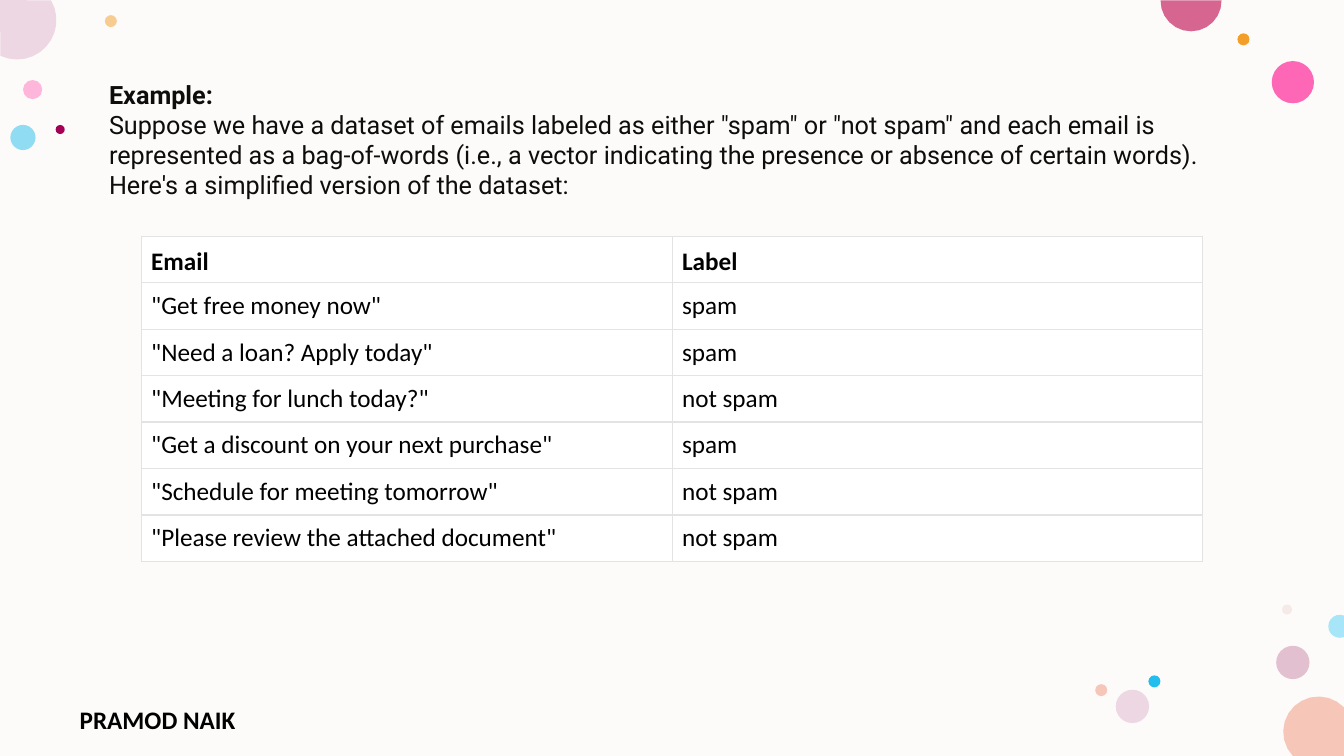
from dataclasses import dataclass
from math import cos, hypot, radians, sin

from lxml.etree import SubElement
from pptx import Presentation
from pptx.dml.color import RGBColor
from pptx.enum.shapes import MSO_SHAPE
from pptx.enum.text import MSO_ANCHOR
from pptx.oxml.ns import qn
from pptx.util import Pt

WIDTH, HEIGHT = 960, 540

HEADING = "Example:"
INTRO = (
    'Suppose we have a dataset of emails labeled as either "spam" or "not spam" '
    "and each email is represented as a bag-of-words (i.e., a vector indicating "
    "the presence or absence of certain words). Here's a simplified version of "
    "the dataset:"
)
AUTHOR = "PRAMOD NAIK"
EMAILS = [
    ("Email", "Label"),
    ('"Get free money now"', "spam"),
    ('"Need a loan? Apply today"', "spam"),
    ('"Meeting for lunch today?"', "not spam"),
    ('"Get a discount on your next purchase"', "spam"),
    ('"Schedule for meeting tomorrow"', "not spam"),
    ('"Please review the attached document"', "not spam"),
]
# centre x, centre y, diameter, colour, opacity in percent
DOTS = [
    (23.3, 64, 13.7, "FF75BD", 50),
    (79.2, 15.1, 8.6, "F39E29", 50),
    (923.5, 473.2, 23.8, "C987A8", 50),
    (16.4, 98.2, 18, "24BEEE", 50),
    (923.5, 58.7, 30.2, "FF2F9C", 72),
    (888.2, 28.1, 8.6, "F39E29", 100),
    (919.4, 435.4, 7.2, "E3BEBE", 28),
    (824.6, 486.7, 8.6, "24BEEE", 100),
    (808.9, 504.6, 23.8, "EDD7E2", 100),
    (786.6, 493, 8.6, "F6C7B9", 100),
    (941.8, 522.7, 50.4, "F6C7B9", 100),
    (12.2, 14.4, 56.2, "EDD7E2", 100),
    (850.8, 0.6, 43.6, "D6658F", 100),
    (43, 92.5, 6.5, "A40056", 100),
    (957, 447.4, 16.4, "A7E5F8", 100),
]


@dataclass(frozen=True)
class Theme:
    background: str = "FDFBF9"
    intro: str = "0D0D0D"
    ink: str = "000000"
    cell: str = "FFFFFF"
    border: str = "E3E3E3"
    intro_font: str = "Roboto"
    table_font: str = "Calibri"
    size: int = 18
    rule: float = 0.6
    heavy_rule: float = 1


THEME = Theme()


def paint(fill, colour):
    fill.solid()
    fill.fore_color.rgb = RGBColor.from_string(colour)


def write(paragraph, text, name, colour, bold=False):
    run = paragraph.add_run()
    run.text = text
    run.font.color.rgb = RGBColor.from_string(colour)
    for key, value in dict(name=name, size=Pt(THEME.size), bold=bold).items():
        setattr(run.font, key, value)


def add_text(slide, left, top, width, height):
    frame = slide.shapes.add_textbox(Pt(left), Pt(top), Pt(width), Pt(height)).text_frame
    frame.word_wrap = True
    return frame


def add_plain(slide, kind, left, top, width, height):
    return slide.shapes.add_shape(kind, Pt(left), Pt(top), Pt(width), Pt(height))


def on_slide(x, y):
    return 0 <= x <= WIDTH and 0 <= y <= HEIGHT


def cut_circle(slide, x, y, radius, steps=12):
    """The part of a circle on the slide: its visible arc and any corner within it."""
    def rim(angle):
        return x + radius * cos(radians(angle)), y + radius * sin(radians(angle))

    visible = [on_slide(*rim(angle)) for angle in range(360)]
    start = next(a for a in range(360) if visible[a] and not visible[a - 1])
    sweep = sum(visible) - 1
    points = [rim(start + sweep * step / steps) for step in range(steps + 1)]
    corners = [(cx, cy) for cx in (0, WIDTH) for cy in (0, HEIGHT)]
    points += [(cx, cy) for cx, cy in corners if hypot(cx - x, cy - y) < radius]
    outline = [(Pt(px), Pt(py)) for px, py in points]
    builder = slide.shapes.build_freeform(*outline[0])
    builder.add_line_segments(outline[1:], close=True)
    return builder.convert_to_shape()


def finish(shape, colour, opacity=100):
    shape.shadow.inherit = False
    shape.line.fill.background()
    paint(shape.fill, colour)
    if opacity < 100:
        tint = shape._element.spPr.find(f"{qn('a:solidFill')}/{qn('a:srgbClr')}")
        SubElement(tint, qn("a:alpha"), val=str(opacity * 1000))


def add_dot(slide, x, y, diameter, colour, opacity):
    radius = diameter / 2
    left, top = x - radius, y - radius
    if on_slide(left, top) and on_slide(x + radius, y + radius):
        dot = add_plain(slide, MSO_SHAPE.OVAL, left, top, diameter, diameter)
    else:
        dot = cut_circle(slide, x, y, radius)
    finish(dot, colour, opacity)


def add_borders(cell, widths):
    properties = cell._tc.get_or_add_tcPr()
    for side, width in widths.items():
        line = SubElement(properties, qn(f"a:ln{side}"), w=str(Pt(width)))
        SubElement(SubElement(line, qn("a:solidFill")), qn("a:srgbClr"), val=THEME.border)


def add_email_table(slide, left, top, column_width, row_height):
    rows, columns = len(EMAILS), len(EMAILS[0])
    table = slide.shapes.add_table(
        rows, columns, Pt(left), Pt(top),
        Pt(column_width * columns), Pt(row_height * rows)).table
    table.first_row = table.horz_banding = False
    for column in table.columns:
        column.width = Pt(column_width)
    for i, record in enumerate(EMAILS):
        table.rows[i].height = Pt(row_height)
        header = i == 0
        widths = {
            "L": THEME.rule,
            "R": THEME.rule,
            "T": THEME.rule if header else THEME.heavy_rule,
            "B": THEME.rule if i == rows - 1 else THEME.heavy_rule,
        }
        for j, entry in enumerate(record):
            cell = table.cell(i, j)
            add_borders(cell, widths)
            paint(cell.fill, THEME.cell)
            cell.vertical_anchor = MSO_ANCHOR.BOTTOM if header else MSO_ANCHOR.MIDDLE
            write(cell.text_frame.paragraphs[0], entry, THEME.table_font, THEME.ink, header)


def main():
    deck = Presentation()
    deck.slide_width, deck.slide_height = Pt(WIDTH), Pt(HEIGHT)
    slide = deck.slides.add_slide(deck.slide_layouts.get_by_name("Blank"))
    finish(add_plain(slide, MSO_SHAPE.RECTANGLE, 0, 0, WIDTH, HEIGHT), THEME.background)
    for dot in DOTS:
        add_dot(slide, *dot)

    author = add_text(slide, 49.8, 499.7, 176.4, 23)
    write(author.paragraphs[0], AUTHOR, THEME.table_font, THEME.ink, bold=True)

    add_email_table(slide, left=100.8, top=168.8, column_width=379.2, row_height=33.18)

    intro = add_text(slide, 70.8, 52.8, 804.2, 94.3)
    write(intro.paragraphs[0], HEADING, THEME.intro_font, THEME.intro, bold=True)
    write(intro.add_paragraph(), INTRO, THEME.intro_font, THEME.intro)

    deck.save("out.pptx")


if __name__ == "__main__":
    main()
